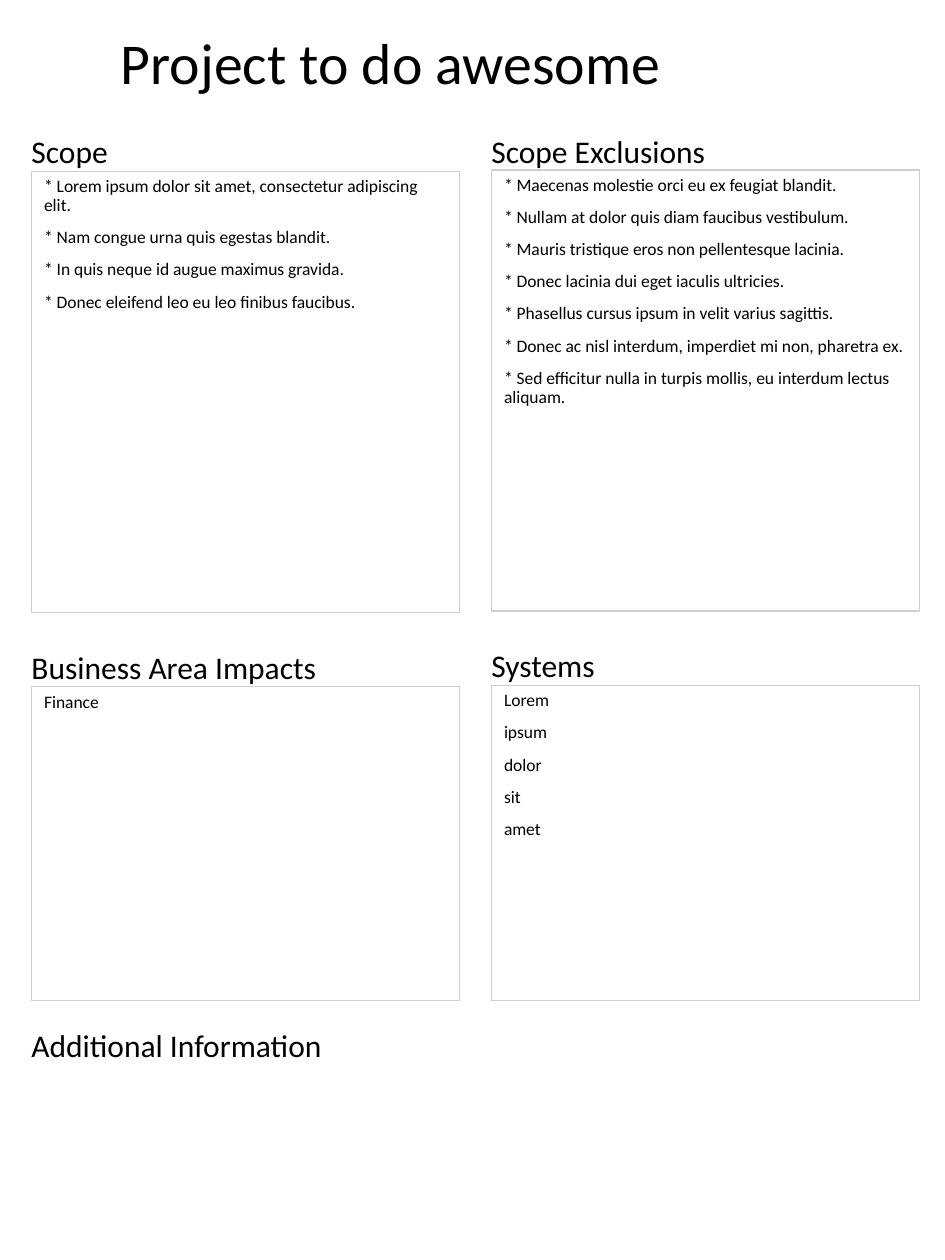
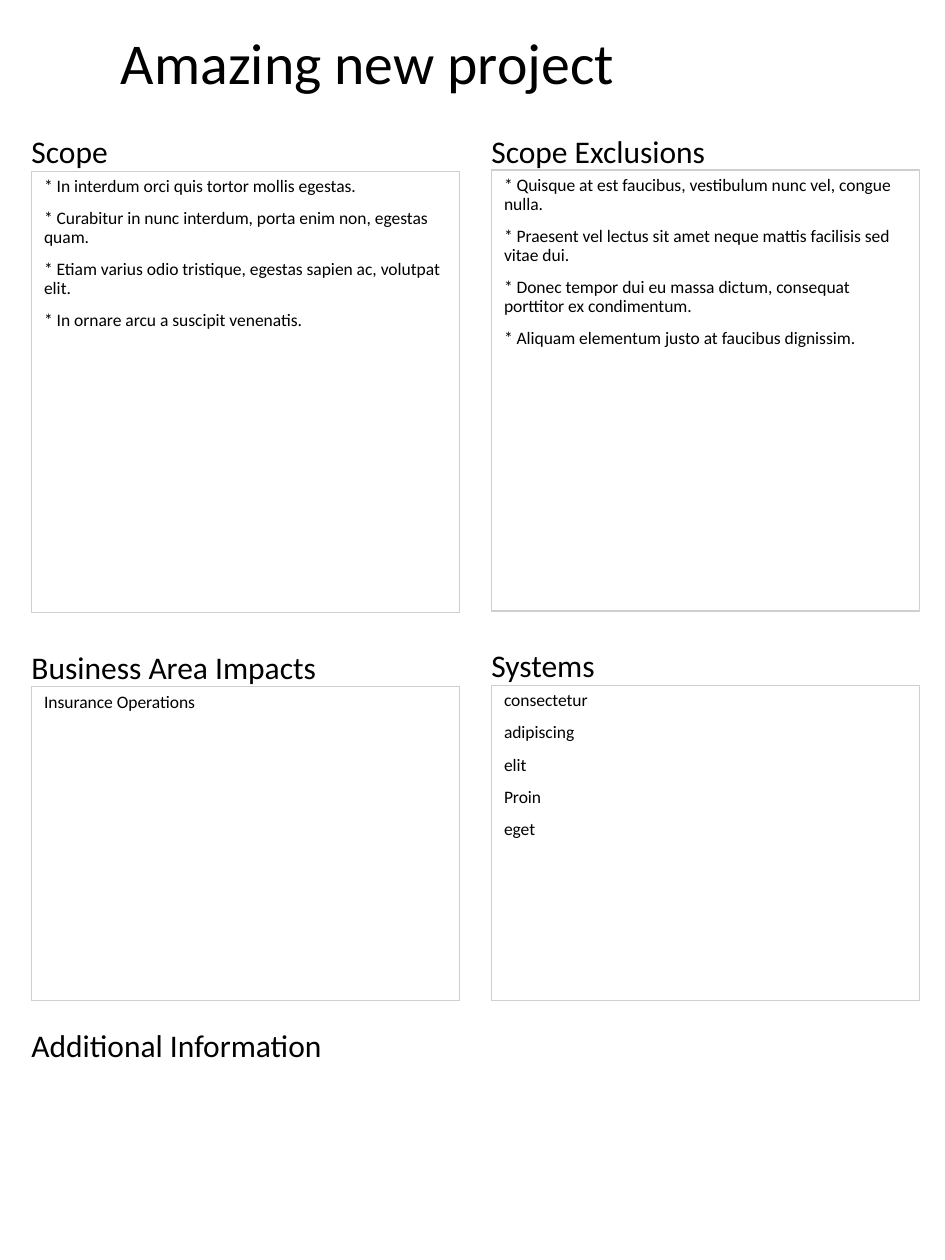
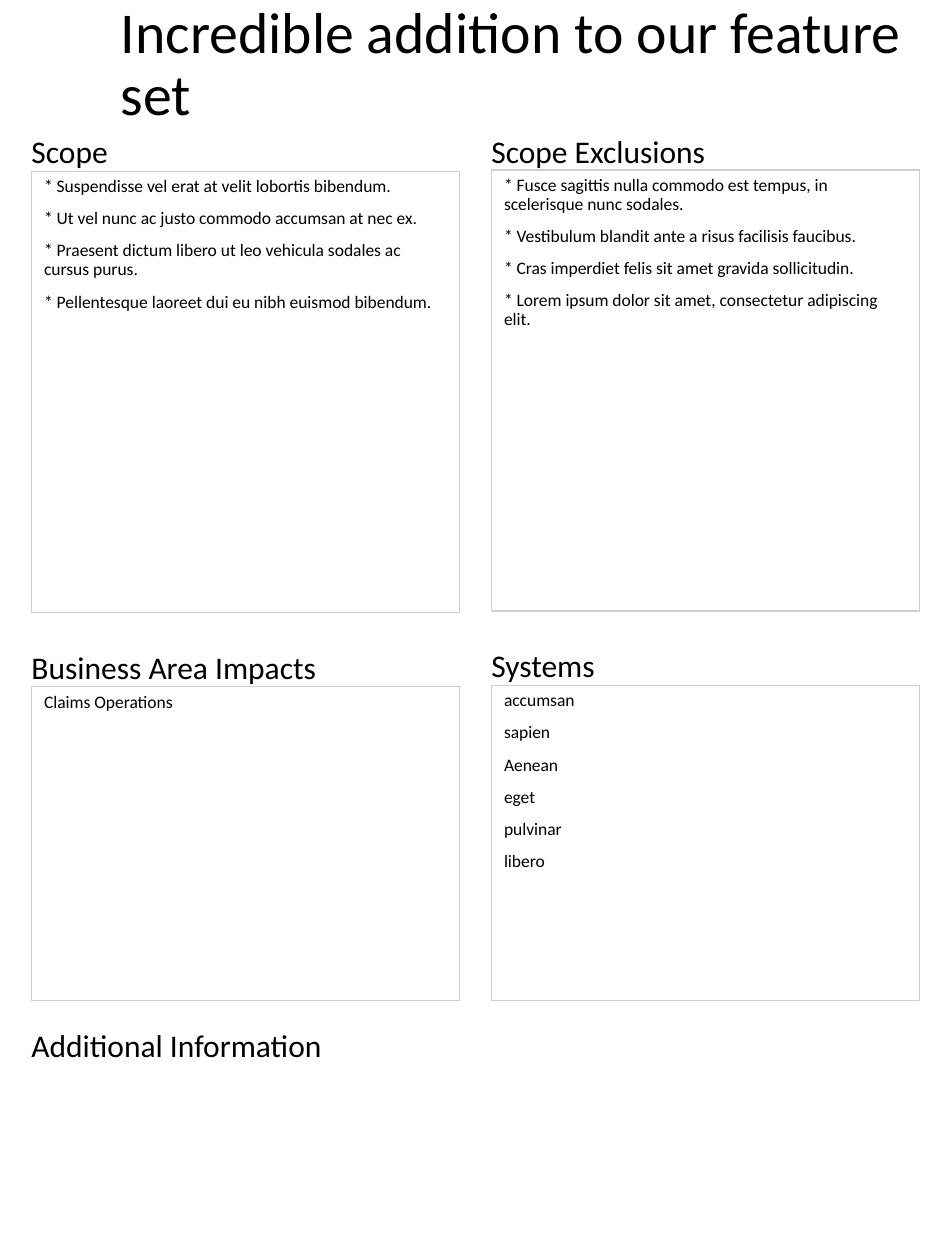
import pptx
import pptx.dml.color
import pptx.enum.text
import pptx.oxml.ns
import pptx.util
from lxml import etree

LEFT, RIGHT = 18, 280.8
COLUMN_WIDTH = 244.8
HEADING_HEIGHT = 21.6
COMPARISON_LAYOUT = 4

PANELS = [
    ("Scope", LEFT, 75.6, 97.92, 252),
    ("Scope Exclusions", RIGHT, 75.6, 97.2, 252),
    ("Business Area Impacts", LEFT, 370.08, 392.4, 179.28),
    ("Systems", RIGHT, 369.36, 391.68, 180),
]

PROJECTS = [
    ("Project to do awesome", [
        ["* Lorem ipsum dolor sit amet, consectetur adipiscing elit.",
         "* Nam congue urna quis egestas blandit.",
         "* In quis neque id augue maximus gravida.",
         "* Donec eleifend leo eu leo finibus faucibus."],
        ["* Maecenas molestie orci eu ex feugiat blandit.",
         "* Nullam at dolor quis diam faucibus vestibulum.",
         "* Mauris tristique eros non pellentesque lacinia.",
         "* Donec lacinia dui eget iaculis ultricies.",
         "* Phasellus cursus ipsum in velit varius sagittis.",
         "* Donec ac nisl interdum, imperdiet mi non, pharetra ex.",
         "* Sed efficitur nulla in turpis mollis, eu interdum lectus aliquam."],
        ["Finance"],
        ["Lorem", "ipsum", "dolor", "sit", "amet"],
    ]),
    ("Amazing new project", [
        ["* In interdum orci quis tortor mollis egestas.",
         "* Curabitur in nunc interdum, porta enim non, egestas quam.",
         "* Etiam varius odio tristique, egestas sapien ac, volutpat elit.",
         "* In ornare arcu a suscipit venenatis."],
        ["* Quisque at est faucibus, vestibulum nunc vel, congue nulla.",
         "* Praesent vel lectus sit amet neque mattis facilisis sed vitae dui.",
         "* Donec tempor dui eu massa dictum, consequat porttitor ex condimentum.",
         "* Aliquam elementum justo at faucibus dignissim."],
        ["Insurance Operations"],
        ["consectetur", "adipiscing", "elit", "Proin", "eget"],
    ]),
    ("Incredible addition to our feature set", [
        ["* Suspendisse vel erat at velit lobortis bibendum.",
         "* Ut vel nunc ac justo commodo accumsan at nec ex.",
         "* Praesent dictum libero ut leo vehicula sodales ac cursus purus.",
         "* Pellentesque laoreet dui eu nibh euismod bibendum."],
        ["* Fusce sagittis nulla commodo est tempus, in scelerisque nunc sodales.",
         "* Vestibulum blandit ante a risus facilisis faucibus.",
         "* Cras imperdiet felis sit amet gravida sollicitudin.",
         "* Lorem ipsum dolor sit amet, consectetur adipiscing elit."],
        ["Claims Operations"],
        ["accumsan", "sapien", "Aenean", "eget", "pulvinar", "libero"],
    ]),
]


def color(value):
    return pptx.dml.color.RGBColor.from_string(value)


class ProjectDeck:
    font = "Calibri"
    ink = "000000"
    border = "D0CECE"

    def __init__(self):
        self.deck = pptx.Presentation()
        self.deck.slide_width = pptx.util.Pt(540)
        self.deck.slide_height = pptx.util.Pt(720)
        self.page = None

    def add_page(self):
        self.page = self.deck.slides.add_slide(self.deck.slide_layouts[COMPARISON_LAYOUT])

    def place(self, box, left, top, width, height):
        box.left, box.top = pptx.util.Pt(left), pptx.util.Pt(top)
        box.width, box.height = pptx.util.Pt(width), pptx.util.Pt(height)

    def set_frame(self, box, anchor, inset=None):
        frame = box.text_frame
        frame.word_wrap = True
        frame.auto_size = pptx.enum.text.MSO_AUTO_SIZE.NONE
        frame.vertical_anchor = anchor
        if inset is not None:
            frame.margin_left = frame.margin_right = pptx.util.Pt(inset)
            frame.margin_top = frame.margin_bottom = pptx.util.Pt(inset)
        return frame

    def format(self, para, size, line_spacing=1.0, space_before=0):
        para.alignment = pptx.enum.text.PP_ALIGN.LEFT
        para.line_spacing = line_spacing
        para.space_before = pptx.util.Pt(space_before)
        for span in para.runs:
            span.font.name = self.font
            span.font.size = pptx.util.Pt(size)
            span.font.bold = False
            span.font.color.rgb = color(self.ink)

    def remove_bullet(self, para):
        properties = para._p.get_or_add_pPr()
        properties.set("marL", "0")
        properties.set("indent", "0")
        etree.SubElement(properties, pptx.oxml.ns.qn("a:buNone"))

    def title(self, text):
        box = self.page.shapes.title
        self.place(box, 69.12, 19.44, 450, 36)
        frame = self.set_frame(box, pptx.enum.text.MSO_ANCHOR.MIDDLE, 0)
        frame.text = text
        self.format(frame.paragraphs[0], 33, 0.9)

    def heading(self, text, left, top):
        box = self.page.shapes.add_textbox(0, 0, 0, 0)
        self.place(box, left, top, COLUMN_WIDTH, HEADING_HEIGHT)
        frame = self.set_frame(box, pptx.enum.text.MSO_ANCHOR.TOP, 0)
        frame.text = text
        self.format(frame.paragraphs[0], 18)

    def panel(self, index, lines, left, top, height):
        box = self.page.placeholders[index]
        self.place(box, left, top, COLUMN_WIDTH, height)
        box.line.color.rgb = color(self.border)
        box.line.width = pptx.util.Pt(0.75)
        frame = self.set_frame(box, pptx.enum.text.MSO_ANCHOR.TOP)
        frame.text = "\n".join(lines)
        for number, para in enumerate(frame.paragraphs):
            self.remove_bullet(para)
            self.format(para, 10, 0.9, 7.5 if number else 0)

    def save(self):
        self.deck.save("out.pptx")


def main():
    report = ProjectDeck()
    for name, contents in PROJECTS:
        report.add_page()
        report.title(name)
        for index, (panel, lines) in enumerate(zip(PANELS, contents), start=1):
            label, left, heading_top, top, height = panel
            report.heading(label, left, heading_top)
            report.panel(index, lines, left, top, height)
        report.heading("Additional Information", LEFT, 586.08)
    report.save()


if __name__ == "__main__":
    main()
